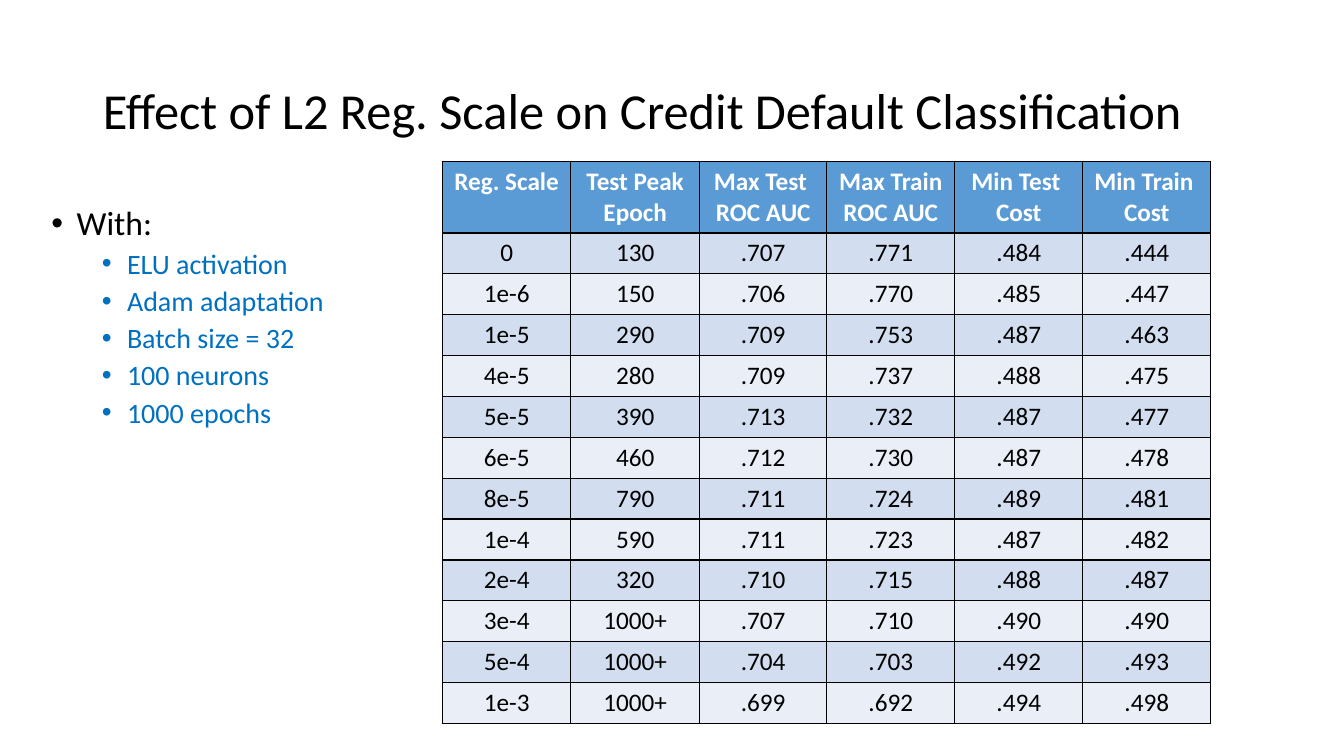
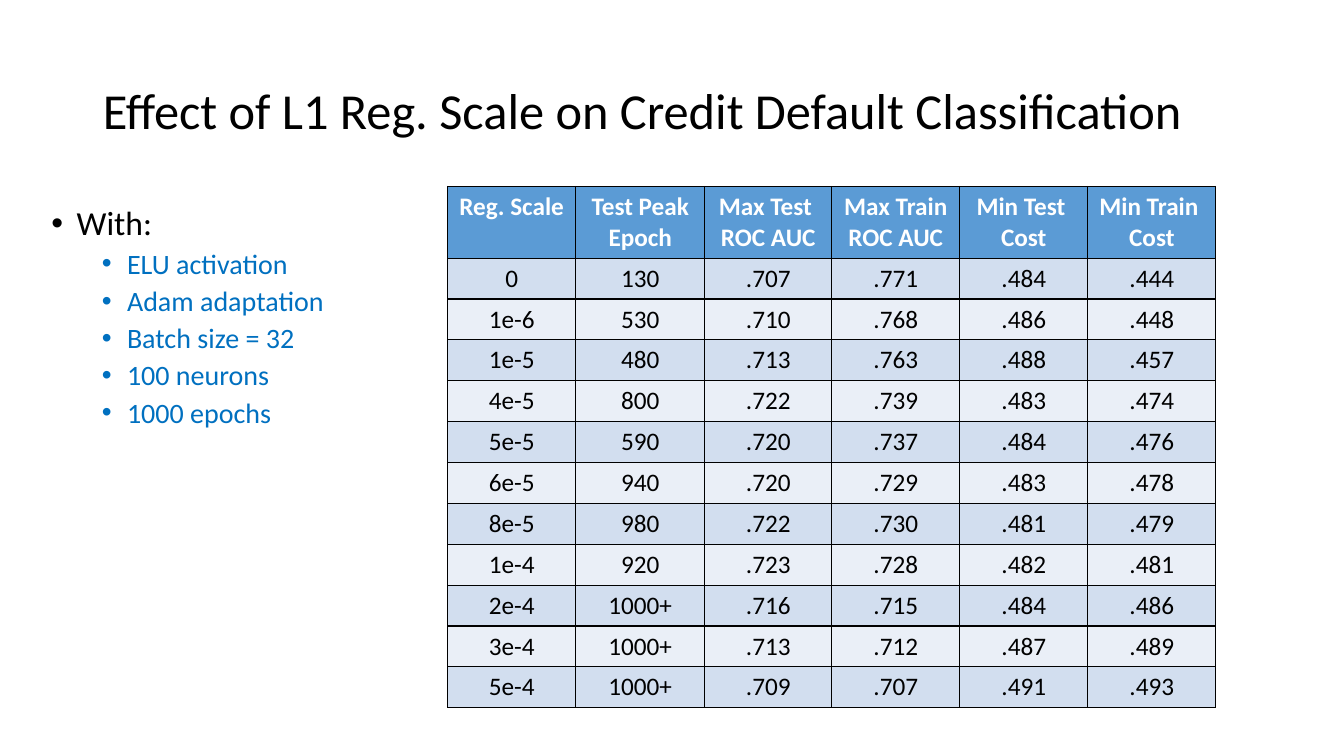
from lxml.etree import SubElement
from pptx import Presentation
from pptx.dml.color import RGBColor
from pptx.enum.text import MSO_ANCHOR, MSO_AUTO_SIZE, PP_ALIGN
from pptx.oxml.ns import qn
from pptx.util import Inches, Pt

COLORS = {
    "text": "000000",
    "accent": "0070C0",
    "header": "5B9BD5",
    "header_text": "FFFFFF",
    "band_dark": "D2DEEF",
    "band_light": "EAEFF7",
    "border": "000000",
}

GRID_CELL = Inches(0.1)
GRID_COLUMNS, GRID_ROWS = 133.3, 75
TABLE_COLUMNS = [12.7, 12.8, 12.6, 12.7, 12.7, 12.7]
HEADER_ROWS, RECORD_ROWS = 7, 4

FONTS = {
    "title": {"size": Pt(36), "bold": False, "name": "Calibri"},
    "lead": {"size": Pt(24), "bold": False, "name": "Calibri"},
    "item": {"size": Pt(20), "bold": False, "name": "Calibri"},
    "header": {"size": Pt(18), "bold": True, "name": "Calibri"},
    "record": {"size": Pt(18), "bold": False, "name": "Calibri"},
}
PARAGRAPHS = {
    "title": {"alignment": PP_ALIGN.LEFT, "line_spacing": 0.9},
    "lead": {"level": 0, "line_spacing": 0.9, "space_before": Pt(10)},
    "item": {"level": 1, "line_spacing": 0.9, "space_before": Pt(5)},
    "header": {"alignment": PP_ALIGN.CENTER},
    "record": {"alignment": PP_ALIGN.CENTER},
}
FRAMES = {
    "title": {"vertical_anchor": MSO_ANCHOR.MIDDLE},
    "list": {"vertical_anchor": MSO_ANCHOR.TOP},
}
INDENTS = {"lead": 0.25, "item": 0.75}
HANGING = 0.25

HEADERS = [
    "Reg. Scale",
    "Test Peak Epoch",
    "Max Test \nROC AUC",
    "Max Train\nROC AUC",
    "Min Test \nCost",
    "Min Train \nCost",
]
SETTINGS = [
    "ELU activation",
    "Adam adaptation",
    "Batch size = 32",
    "100 neurons",
    "1000 epochs",
]
RESULTS = [
    {
        "title": "Effect of L2 Reg. Scale on Credit Default Classification",
        "corner": (43.9, 16),
        "records": [
            "0 130 .707 .771 .484 .444",
            "1e-6 150 .706 .770 .485 .447",
            "1e-5 290 .709 .753 .487 .463",
            "4e-5 280 .709 .737 .488 .475",
            "5e-5 390 .713 .732 .487 .477",
            "6e-5 460 .712 .730 .487 .478",
            "8e-5 790 .711 .724 .489 .481",
            "1e-4 590 .711 .723 .487 .482",
            "2e-4 320 .710 .715 .488 .487",
            "3e-4 1000+ .707 .710 .490 .490",
            "5e-4 1000+ .704 .703 .492 .493",
            "1e-3 1000+ .699 .692 .494 .498",
        ],
    },
    {
        "title": "Effect of L1 Reg. Scale on Credit Default Classification",
        "corner": (44.4, 18.5),
        "records": [
            "0 130 .707 .771 .484 .444",
            "1e-6 530 .710 .768 .486 .448",
            "1e-5 480 .713 .763 .488 .457",
            "4e-5 800 .722 .739 .483 .474",
            "5e-5 590 .720 .737 .484 .476",
            "6e-5 940 .720 .729 .483 .478",
            "8e-5 980 .722 .730 .481 .479",
            "1e-4 920 .723 .728 .482 .481",
            "2e-4 1000+ .716 .715 .484 .486",
            "3e-4 1000+ .713 .712 .487 .489",
            "5e-4 1000+ .709 .707 .491 .493",
        ],
    },
]


def grid(cells):
    return round(cells * GRID_CELL)


def apply(target, values):
    for name, value in values.items():
        setattr(target, name, value)


class Deck:
    def __init__(self):
        self.presentation = Presentation()
        self.presentation.slide_width = grid(GRID_COLUMNS)
        self.presentation.slide_height = grid(GRID_ROWS)
        self.slide = None

    def add_slide(self):
        layout = self.presentation.slide_layouts[1]
        self.slide = self.presentation.slides.add_slide(layout)

    def place(self, shape, style, left, top, width, height):
        box = {"left": left, "top": top, "width": width, "height": height}
        apply(shape, {name: grid(cells) for name, cells in box.items()})
        frame = shape.text_frame
        apply(frame, {"word_wrap": True, "auto_size": MSO_AUTO_SIZE.NONE})
        apply(frame, FRAMES[style])
        return frame

    def set_text(self, paragraph, text, style, color):
        paragraph.text = text
        apply(paragraph, PARAGRAPHS[style])
        for run in paragraph.runs:
            apply(run.font, FONTS[style])
            run.font.color.rgb = RGBColor.from_string(COLORS[color])

    def title(self, text):
        frame = self.place(self.slide.shapes.title, "title", 9.2, 4, 115, 14.5)
        self.set_text(frame.paragraphs[0], text, "title", "text")

    def bullet(self, paragraph, style):
        properties = paragraph._p.get_or_add_pPr()
        properties.set("marL", str(Inches(INDENTS[style])))
        properties.set("indent", str(-Inches(HANGING)))
        SubElement(properties, qn("a:buFont"), typeface="Arial")
        SubElement(properties, qn("a:buChar"), char="•")

    def bullets(self, lead, items):
        frame = self.place(self.slide.placeholders[1], "list", 4.1, 20, 42.4, 51)
        lines = [(lead, "lead", "text")]
        lines += [(item, "item", "accent") for item in items]
        for index, (text, style, color) in enumerate(lines):
            paragraph = frame.add_paragraph() if index else frame.paragraphs[0]
            self.set_text(paragraph, text, style, color)
            self.bullet(paragraph, style)

    def border(self, cell):
        properties = cell._tc.get_or_add_tcPr()
        for side in ("lnL", "lnR", "lnT", "lnB"):
            line = SubElement(properties, qn(f"a:{side}"), w=str(Pt(1)))
            fill = SubElement(line, qn("a:solidFill"))
            SubElement(fill, qn("a:srgbClr"), val=COLORS["border"])

    def cell(self, cell, text, style, color, fill):
        self.border(cell)
        cell.fill.solid()
        cell.fill.fore_color.rgb = RGBColor.from_string(COLORS[fill])
        self.set_text(cell.text_frame.paragraphs[0], text, style, color)

    def table(self, corner, headers, records):
        heights = [HEADER_ROWS] + [RECORD_ROWS] * len(records)
        size = (sum(TABLE_COLUMNS), sum(heights))
        table = self.slide.shapes.add_table(
            len(heights), len(headers), *map(grid, corner + size)
        ).table
        table.horz_banding = False
        for column, width in zip(table.columns, TABLE_COLUMNS):
            column.width = grid(width)
        for row, height in zip(table.rows, heights):
            row.height = grid(height)
        for column, text in enumerate(headers):
            self.cell(table.cell(0, column), text, "header", "header_text", "header")
        for row, record in enumerate(records, 1):
            fill = "band_dark" if row % 2 else "band_light"
            for column, text in enumerate(record.split()):
                self.cell(table.cell(row, column), text, "record", "text", fill)


def main():
    deck = Deck()
    for result in RESULTS:
        deck.add_slide()
        deck.title(result["title"])
        deck.table(result["corner"], HEADERS, result["records"])
        deck.bullets("With:", SETTINGS)
    deck.presentation.save("out.pptx")


if __name__ == "__main__":
    main()
